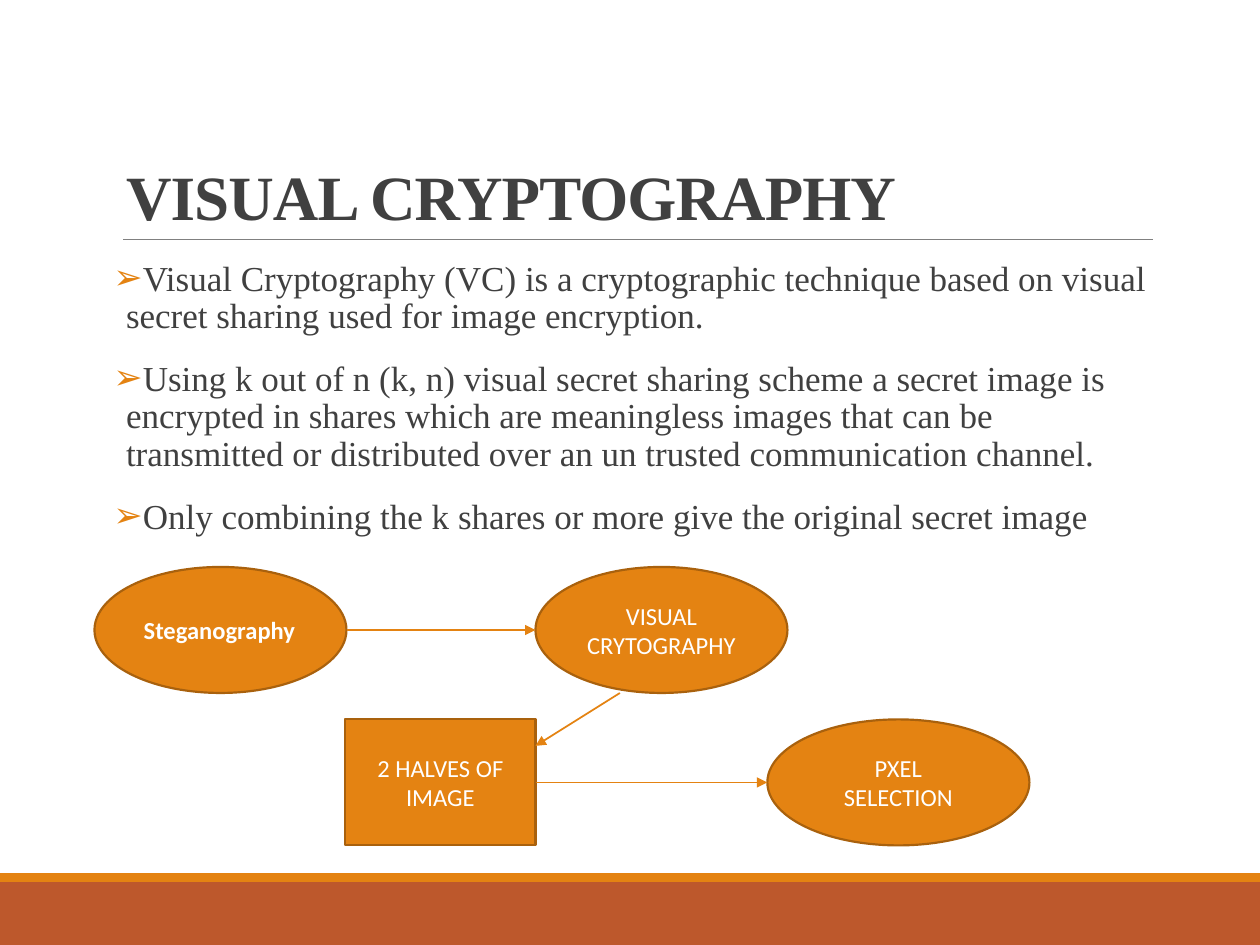
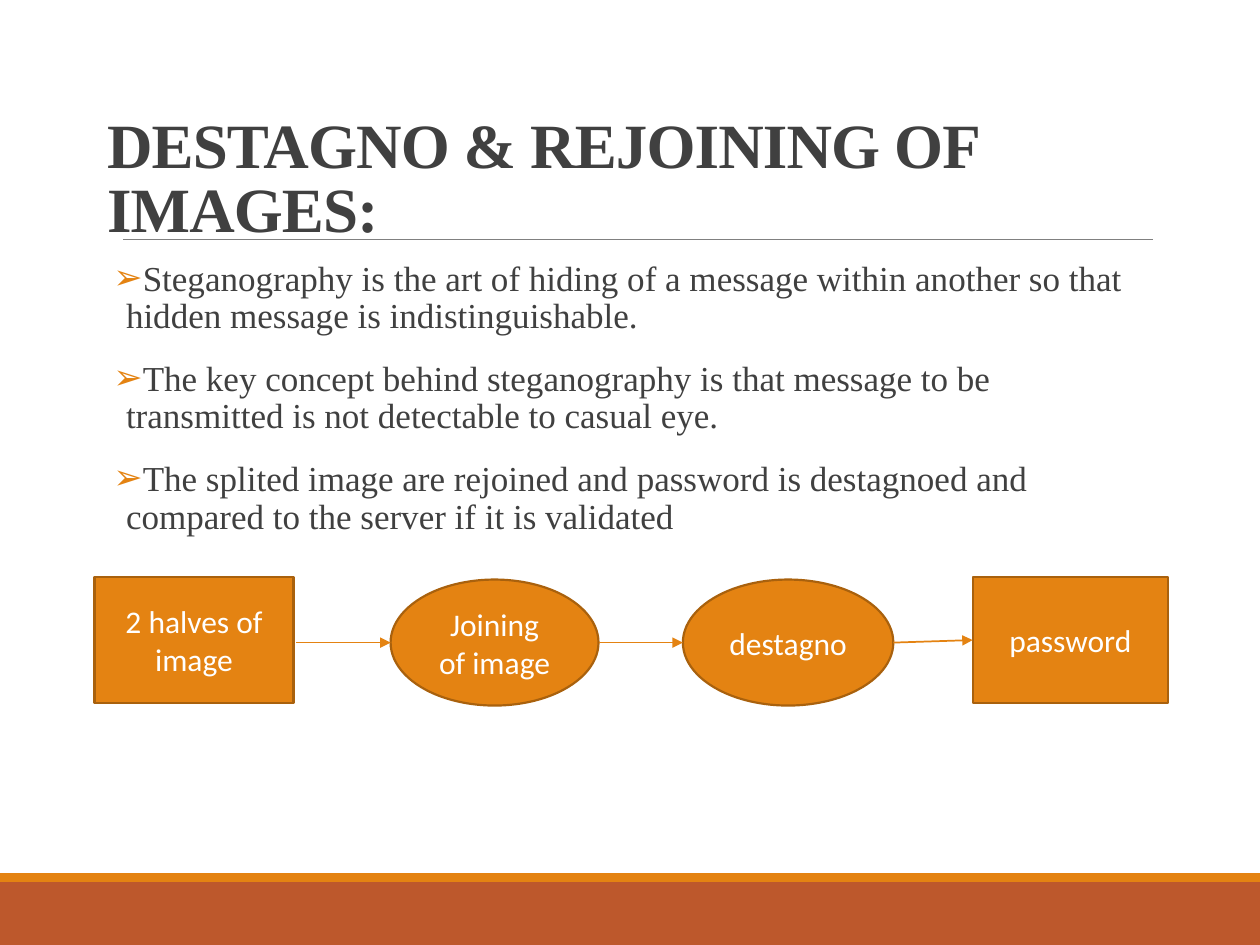
from lxml import etree
from pptx import Presentation, util as u
from pptx.dml.color import RGBColor
from pptx.enum import shapes, text
from pptx.oxml.ns import qn

COLS, ROWS = 40, 30
W, H = u.Inches(10), u.Inches(7.5)
ORANGE, RUST, EDGE = "E48312", "BD582C", "A9610D"
INK, GREY, WHITE = "404040", "808080", "FFFFFF"
SERIF, SANS = "Times New Roman", "Calibri"
OVAL, RECT = shapes.MSO_SHAPE.OVAL, shapes.MSO_SHAPE.RECTANGLE


def rgb(color):
    return RGBColor.from_string(color)


def grid(x, y, *size):
    """Turn columns and rows into slide lengths."""
    return [round(n * (H / ROWS if i % 2 else W / COLS))
            for i, n in enumerate((x, y, *size))]


def put(sp, box):
    sp.left, sp.top, sp.width, sp.height = grid(*box)


def style(font, name, size, color, bold=False):
    font.name, font.size, font.bold = name, u.Pt(size), bold
    font.color.rgb = rgb(color)


def add_block(s, kind, box, fill, edge=None):
    sp = s.shapes.add_shape(kind, *grid(*box))
    sp.shadow.inherit = False
    sp.fill.solid()
    sp.fill.fore_color.rgb = rgb(fill)
    if edge:
        sp.line.color.rgb = rgb(edge)
        sp.line.width = u.Pt(1.25)
    else:
        sp.line.fill.background()
    return sp


def add_line(s, start, end, color, width, arrow=False):
    ln = s.shapes.add_connector(shapes.MSO_CONNECTOR.STRAIGHT,
                                *grid(*start), *grid(*end))
    ln.line.color.rgb = rgb(color)
    ln.line.width = u.Pt(width)
    if arrow:
        etree.SubElement(ln.line._get_or_add_ln(), qn("a:tailEnd"), type="triangle")
    etree.SubElement(ln._element.spPr, qn("a:effectLst"))
    return ln


def decorate_layout(s):
    """Footer bands and title rule, moved to the layout that all slides share."""
    parts = [add_block(s, RECT, (0, 28, COLS, 2), RUST),
             add_block(s, RECT, (0, 27.72, COLS, 0.28), ORANGE),
             add_line(s, (3.92, 7.6), (36.6, 7.6), GREY, 0.5)]
    for part in parts:
        s.slide_layout.shapes._spTree.append(part._element)


def fill_title(s, words, box):
    sp = s.shapes.title
    put(sp, box)
    tf = sp.text_frame
    tf.text = words
    tf.auto_size = text.MSO_AUTO_SIZE.NONE
    tf.vertical_anchor = text.MSO_ANCHOR.BOTTOM
    p = tf.paragraphs[0]
    p.alignment, p.line_spacing = text.PP_ALIGN.LEFT, 0.85
    style(p.font, SERIF, 36, INK, True)
    p.runs[0].font._element.set("spc", "-50")


def fill_body(s, points, box):
    sp = s.placeholders[1]
    put(sp, box)
    tf = sp.text_frame
    tf.text = "\n".join(points)
    tf.auto_size = text.MSO_AUTO_SIZE.NONE
    tf.margin_left = tf.margin_right = 0
    for p in tf.paragraphs:
        p.line_spacing, p.space_before, p.space_after = 0.9, u.Pt(12), u.Pt(2)
        style(p.font, SERIF, 20, INK)
        # Hanging arrow bullet, placed ahead of the font defaults
        pPr = p._p.get_or_add_pPr()
        pPr.set("marL", str(u.Inches(0.1)))
        pPr.set("indent", str(-u.Inches(0.1)))
        color = etree.Element(qn("a:buClr"))
        etree.SubElement(color, qn("a:srgbClr"), val=ORANGE)
        bullet = etree.Element(qn("a:buChar"), char="➢")
        defaults = pPr.find(qn("a:defRPr"))
        defaults.addprevious(color)
        defaults.addprevious(bullet)


def add_flow(s, origin, nodes, arrows, size):
    """Draw nodes and arrows relative to the region's top left corner.

    An arrow end is a node's name, meaning the middle of its facing side, or a point.
    """
    ox, oy = origin
    for words, (kind, (x, y, w, h)) in nodes.items():
        sp = add_block(s, kind, (ox + x, oy + y, w, h), ORANGE, EDGE)
        tf = sp.text_frame
        tf.text, tf.word_wrap = words, True
        tf.vertical_anchor = text.MSO_ANCHOR.MIDDLE
        p = tf.paragraphs[0]
        first = words == "Steganography"
        p.alignment = text.PP_ALIGN.LEFT if first else text.PP_ALIGN.CENTER
        style(p.font, SANS, size, WHITE, first)

    def anchor(end, right_side):
        if isinstance(end, str):
            x, y, w, h = nodes[end][1]
            end = (x + w * right_side, y + h / 2)
        return ox + end[0], oy + end[1]

    for start, end in arrows:
        add_line(s, anchor(start, True), anchor(end, False), ORANGE, 1, True)


def add_topic(prs, title, title_box, points, body_box):
    s = prs.slides.add_slide(prs.slide_layouts[1])
    fill_title(s, title, title_box)
    fill_body(s, points, body_box)
    return s


def main():
    prs = Presentation()
    prs.slide_width, prs.slide_height = W, H

    # Splitting the image
    s = add_topic(prs, "VISUAL CRYPTOGRAPHY", (3.6, 1.24, 33, 6.36), [
        "Visual Cryptography (VC) is a cryptographic technique based on visual "
        "secret sharing used for image encryption.",
        "Using k out of n (k, n) visual secret sharing scheme a secret image is "
        "encrypted in shares which are meaningless images that can be transmitted "
        "or distributed over an un trusted communication channel.",
        "Only combining the k shares or more give the original secret image",
    ], (3.6, 8.08, 33, 19.6))
    decorate_layout(s)
    add_flow(s, (3, 18), {
        "Steganography": (OVAL, (0, 0, 8, 4)),
        "VISUAL CRYTOGRAPHY": (OVAL, (14, 0, 8, 4)),
        "2 HALVES OF IMAGE": (RECT, (7.96, 4.84, 6.04, 4)),
        "PXEL SELECTION": (OVAL, (21.36, 4.84, 8.32, 4)),
    }, [
        ("Steganography", "VISUAL CRYTOGRAPHY"),
        ((16.68, 4), (14, 5.68)),
        ("2 HALVES OF IMAGE", "PXEL SELECTION"),
    ], 14)

    # Rejoining the image
    s = add_topic(prs, "DESTAGNO & REJOINING OF IMAGES:", (3, 1.24, 33.6, 6.76), [
        "Steganography is the art of hiding of a message within another so that "
        "hidden message is indistinguishable.",
        "The key concept behind steganography is that message to be transmitted "
        "is not detectable to casual eye.",
        "The splited image are rejoined and password is destagnoed and compared "
        "to the server if it is validated",
    ], (3.6, 8.08, 33, 17.6))
    steps = {
        "2 halves of image": (RECT, (0, 0, 6.32, 4)),
        "Joining of image": (OVAL, (9.4, 0.08, 6.6, 4)),
        "destagno": (OVAL, (18.68, 0.08, 6.68, 4)),
        "password": (RECT, (27.88, 0, 6.2, 4)),
    }
    names = list(steps)
    arrows = [((6.4, 2.08), names[1]), *zip(names[1:], names[2:])]
    add_flow(s, (3, 18.32), steps, arrows, 18)

    prs.save("out.pptx")


if __name__ == "__main__":
    main()
